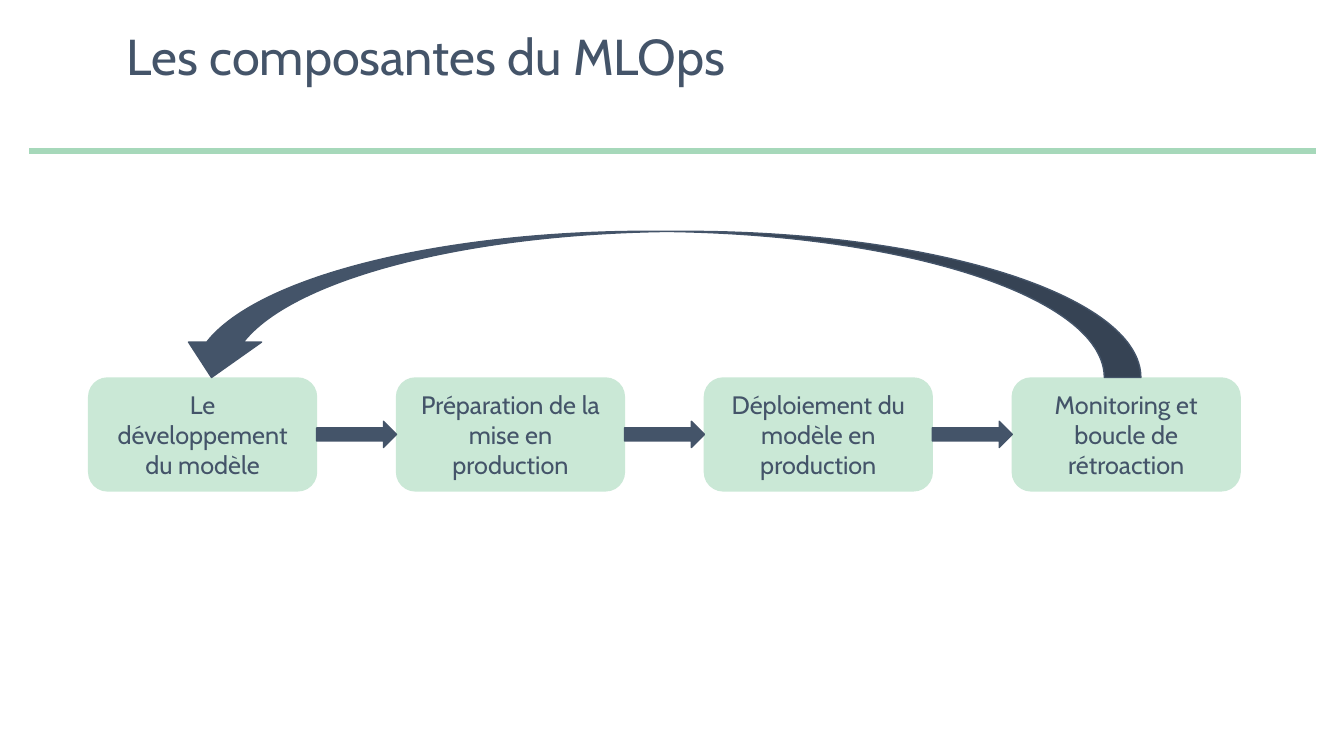
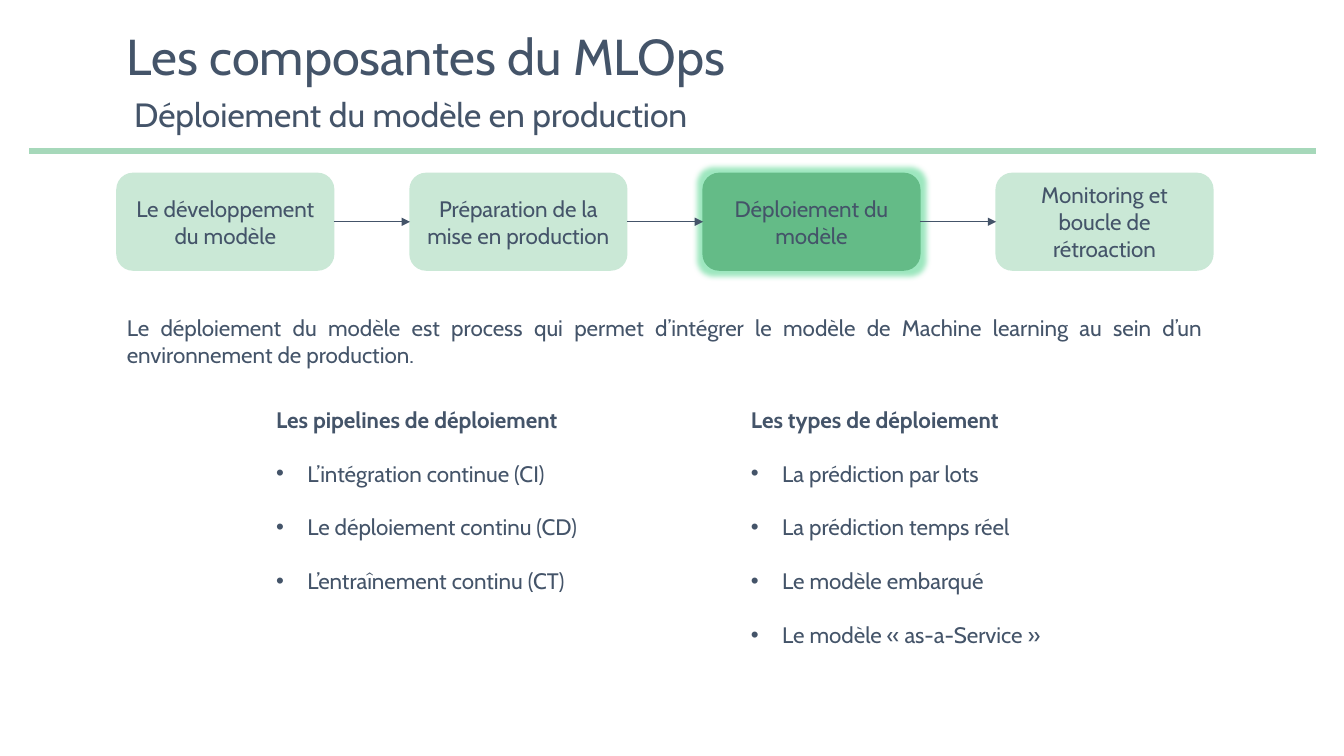
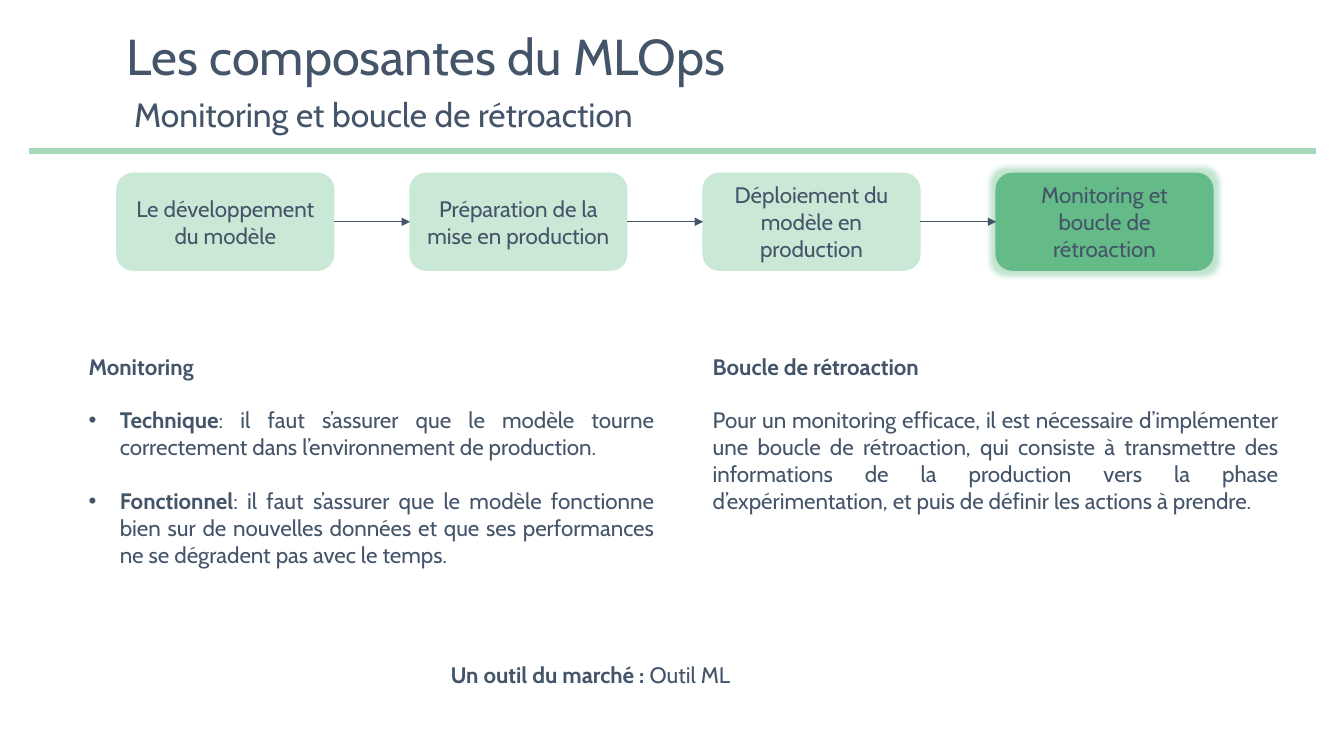
from lxml.etree import SubElement
from pptx import Presentation
from pptx.dml.color import RGBColor
from pptx.enum.shapes import MSO_CONNECTOR, MSO_SHAPE
from pptx.enum.text import MSO_ANCHOR, PP_ALIGN
from pptx.oxml.ns import qn
from pptx.util import Inches, Pt

FONT = "Cabin"
INK, RULE, PALE, STRONG = "445469", "A6D8BA", "CAE8D6", "64BB87"
BODY_SIZE = 16
BLOCK_GAP = 19.2
BULLET_INDENT = 0.31

TITLE = "Les composantes du MLOps"
STEPS = [
    "Le développement du modèle",
    "Préparation de la mise en production",
    "Déploiement du modèle en production",
    "Monitoring et boucle de rétroaction",
]
LARGE_FLOW = {"left": 0.88, "right": 12.3, "top": 3.75, "width": 2.26, "height": 1.12, "size": 18}
SMALL_FLOW = {"left": 1.16, "right": 12.03, "top": 1.72, "width": 2.15, "height": 0.96, "size": 16}


def heading(text):
    return False, [(text, True)]


def plain(text):
    return False, [(text, False)]


def bullet(text, label=""):
    return True, [(label, True), (text, False)] if label else [(text, False)]


DETAIL_SLIDES = [
    {
        "subtitle": "Déploiement du modèle en production",
        "steps": STEPS[:2] + ["Déploiement du modèle"] + STEPS[3:],
        "active": 2,
        "glow": ("5DD895", 60),
        "blocks": [
            ((2.64, 3.98, 3.34, 1.99), [
                heading("Les pipelines de déploiement"),
                bullet("L’intégration continue (CI)"),
                bullet("Le déploiement continu (CD)"),
                bullet("L’entraînement continu (CT)"),
            ]),
            ((7.35, 3.98, 3.18, 2.52), [
                heading("Les types de déploiement"),
                bullet("La prédiction par lots"),
                bullet("La prédiction temps réel"),
                bullet("Le modèle embarqué"),
                bullet("Le modèle « as-a-Service »"),
            ]),
            ((1.16, 3.07, 10.87, 0.64), [
                plain("Le déploiement du modèle est process qui permet d’intégrer le modèle "
                      "de Machine learning au sein d’un environnement de production."),
            ]),
        ],
    },
    {
        "subtitle": "Monitoring et boucle de rétroaction",
        "steps": STEPS,
        "active": 3,
        "glow": (STRONG, 40),
        "blocks": [
            ((0.78, 3.45, 5.81, 2.52), [
                heading("Monitoring"),
                bullet(": il faut s’assurer que le modèle tourne correctement dans "
                       "l’environnement de production.", "Technique"),
                bullet(": il faut s’assurer que le modèle fonctionne bien sur de nouvelles "
                       "données et que ses performances ne se dégradent pas avec le temps.",
                       "Fonctionnel"),
            ]),
            ((6.97, 3.45, 5.81, 1.99), [
                heading("Boucle de rétroaction"),
                plain("Pour un monitoring efficace, il est nécessaire d’implémenter une boucle "
                      "de rétroaction, qui consiste à transmettre des informations de la "
                      "production vers la phase d’expérimentation, et puis de définir les "
                      "actions à prendre."),
            ]),
            ((4.37, 6.51, 3.21, 0.37), [
                (False, [("Un outil du marché : ", True), ("Outil ML", False)]),
            ]),
        ],
    },
]


def color(value):
    return RGBColor.from_string(value)


def apply_format(target, **values):
    for name, value in values.items():
        setattr(target, name, value)


def add_runs(paragraph, runs, size):
    for text, bold in runs:
        run = paragraph.add_run()
        run.text = text
        apply_format(run.font, name=FONT, size=Pt(size), bold=bold)
        run.font.color.rgb = color(INK)


def add_bullet(paragraph):
    properties = paragraph._p.get_or_add_pPr()
    indent = Inches(BULLET_INDENT)
    properties.set("marL", str(indent))
    properties.set("indent", str(-indent))
    SubElement(properties, qn("a:buFont"), typeface="Arial")
    SubElement(properties, qn("a:buChar"), char="•")


def add_header_line(slide, text, top, height, size, anchor, inset):
    box = slide.shapes.add_textbox(Inches(1.16), Inches(top), Inches(11.88), Inches(height))
    frame = box.text_frame
    apply_format(frame, word_wrap=True, vertical_anchor=anchor, margin_left=Inches(inset))
    paragraph = frame.paragraphs[0]
    paragraph.line_spacing = 0.9
    add_runs(paragraph, [(text, False)], size)


def add_text_block(slide, place, paragraphs):
    frame = slide.shapes.add_textbox(*map(Inches, place)).text_frame
    frame.word_wrap = True
    for index, (bulleted, runs) in enumerate(paragraphs):
        paragraph = frame.add_paragraph() if index else frame.paragraphs[0]
        paragraph.alignment = PP_ALIGN.JUSTIFY
        if index:
            paragraph.space_before = Pt(BLOCK_GAP)
        if bulleted:
            add_bullet(paragraph)
        add_runs(paragraph, runs, BODY_SIZE)


def add_filled_shape(shapes, kind, place, fill):
    shape = shapes.add_shape(kind, *map(Inches, place))
    shape.shadow.inherit = False
    shape.fill.solid()
    shape.fill.fore_color.rgb = color(fill)
    shape.line.color.rgb = color(fill)
    shape.line.width = Pt(1)
    return shape


def add_line(shapes, start, end, stroke, width, arrow=False):
    line = shapes.add_connector(MSO_CONNECTOR.STRAIGHT, *map(Inches, start + end))
    line.line.color.rgb = color(stroke)
    line.line.width = Pt(width)
    if arrow:
        SubElement(line.line._get_or_add_ln(), qn("a:tailEnd"), type="triangle")
    SubElement(line._element.spPr, qn("a:effectLst"))


def add_glow(shape, tint, opacity):
    effects = shape._element.spPr.find(qn("a:effectLst"))
    glow = SubElement(effects, qn("a:glow"), rad=str(Pt(8)))
    tone = SubElement(glow, qn("a:srgbClr"), val=tint)
    SubElement(tone, qn("a:alpha"), val=str(opacity * 1000))


def add_steps(shapes, flow, steps, active=None, glow=None):
    width, top, height = flow["width"], flow["top"], flow["height"]
    pitch = (flow["right"] - flow["left"] - width) / (len(steps) - 1)
    lefts = [flow["left"] + index * pitch for index in range(len(steps))]
    for index, (left, text) in enumerate(zip(lefts, steps)):
        fill = STRONG if index == active else PALE
        box = add_filled_shape(shapes, MSO_SHAPE.ROUNDED_RECTANGLE, (left, top, width, height), fill)
        if index == active:
            add_glow(box, *glow)
        frame = box.text_frame
        apply_format(frame, word_wrap=True, vertical_anchor=MSO_ANCHOR.MIDDLE)
        frame.paragraphs[0].alignment = PP_ALIGN.CENTER
        add_runs(frame.paragraphs[0], [(text, False)], flow["size"])
    gaps = [(left + width, left + pitch) for left in lefts[:-1]]
    return gaps, top + height / 2


def add_base_slide(presentation, subtitle=None):
    slide = presentation.slides.add_slide(presentation.slide_layouts[6])
    add_line(slide.shapes, (0.29, 1.5), (13.05, 1.5), RULE, 4.5)
    add_header_line(slide, TITLE, 0.25, 0.68, 36, MSO_ANCHOR.MIDDLE, 0.1)
    if subtitle:
        add_header_line(slide, subtitle, 0.93, 0.51, 24, MSO_ANCHOR.TOP, 0.17)
    return slide


def add_overview_slide(presentation):
    shapes = add_base_slide(presentation).shapes
    gaps, middle = add_steps(shapes, LARGE_FLOW, STEPS)
    feedback = add_filled_shape(shapes, MSO_SHAPE.CURVED_RIGHT_ARROW, (5.8, -1.77, 1.45, 9.58), INK)
    feedback.rotation = 90
    for index, value in enumerate((0.25, 0.5, 0.242)):
        feedback.adjustments[index] = value
    for start, end in gaps:
        add_filled_shape(shapes, MSO_SHAPE.RIGHT_ARROW, (start, middle - 0.13, end - start, 0.26), INK)


def add_detail_slide(presentation, content):
    slide = add_base_slide(presentation, content["subtitle"])
    shapes = slide.shapes.add_group_shape().shapes
    gaps, middle = add_steps(shapes, SMALL_FLOW, content["steps"], content["active"], content["glow"])
    for start, end in gaps:
        add_line(shapes, (start, middle), (end, middle), INK, 0.5, arrow=True)
    for place, paragraphs in content["blocks"]:
        add_text_block(slide, place, paragraphs)


def main():
    presentation = Presentation()
    apply_format(presentation, slide_width=Inches(13.33), slide_height=Inches(7.5))
    add_overview_slide(presentation)
    for content in DETAIL_SLIDES:
        add_detail_slide(presentation, content)
    presentation.save("out.pptx")


if __name__ == "__main__":
    main()
